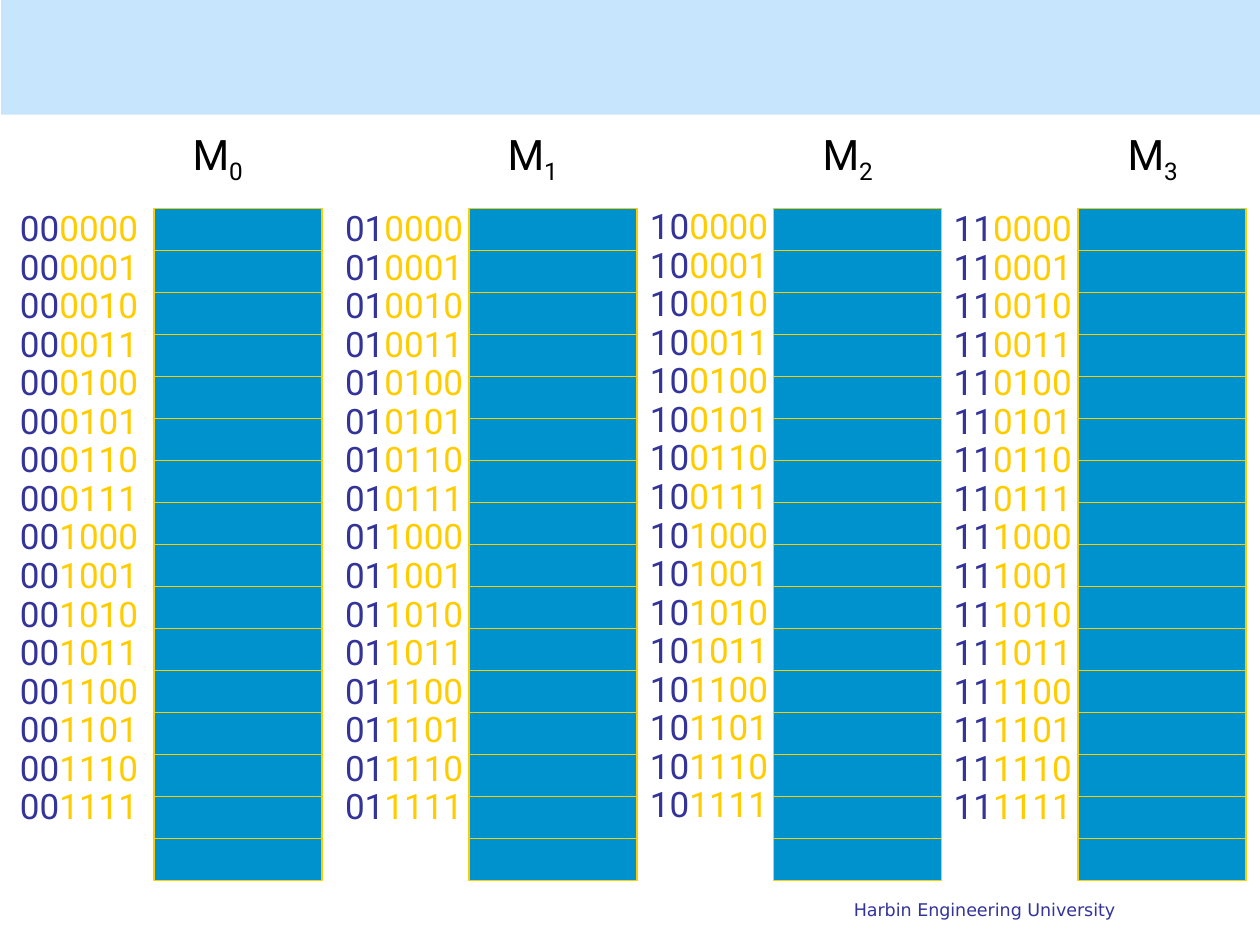
from lxml import etree
from pptx import Presentation
from pptx import util as u
from pptx.dml.color import RGBColor
from pptx.enum import shapes, text
from pptx.oxml.ns import qn

BLACK = RGBColor(0x00, 0x00, 0x00)
SKY = RGBColor(0xC7, 0xE6, 0xFD)
NAVY = RGBColor(0x33, 0x33, 0x99)
BLUE = RGBColor(0x00, 0x92, 0xCC)
GOLD = RGBColor(0xFF, 0xCC, 0x00)

W, H = u.Inches(10), u.Inches(7.5)
COL, ROW = W / 100, H / 75  # fine layout grid
CELLS = 16
BANK_TOP, BANK_W, BANK_H = 16.54, 13.33, 53.33

# bank left, heading left, address left and address top, in grid units
BANKS = [
    (12.23, 14.3, 0.6, 17.35),
    (37.23, 39.3, 26.4, 17.35),
    (61.4, 64.3, 50.6, 17.2),
    (85.57, 88.5, 74.7, 17.35),
]


def grid(x, y, w, h):
    return [round(n) for n in (x * COL, y * ROW, w * COL, h * ROW)]


def add_box(s, box, fill, line=None):
    sp = s.shapes.add_shape(shapes.MSO_SHAPE.RECTANGLE, *grid(*box))
    sp.shadow.inherit = False
    sp.fill.solid()
    sp.fill.fore_color.rgb = fill
    if line is None:
        sp.line.fill.background()
    else:
        sp.line.color.rgb = line
        sp.line.width = u.Pt(0.75)


def add_text(s, box, paragraphs, size, font="Roboto",
             align=text.PP_ALIGN.LEFT, line_spacing=None, gap=0):
    """Each paragraph is a list of (words, colour, baseline) runs."""
    tf = s.shapes.add_textbox(*grid(*box)).text_frame
    tf.word_wrap = True
    for i, runs in enumerate(paragraphs):
        p = tf.paragraphs[0] if i == 0 else tf.add_paragraph()
        p.alignment = align
        if line_spacing:
            p.line_spacing = line_spacing
        p.space_before = u.Pt(gap if i else 0)
        for words, colour, baseline in runs:
            r = p.add_run()
            r.text = words
            r.font.size, r.font.name = u.Pt(size), font
            r.font.color.rgb = colour
            if baseline:
                r.font._element.set("baseline", str(baseline * 1000))


def add_rule(s, x, y, w):
    x1, y1, width, _ = grid(x, y, w, 0)
    line = s.shapes.add_connector(shapes.MSO_CONNECTOR.STRAIGHT,
                                  x1, y1, x1 + width, y1)
    line.line.color.rgb = GOLD
    line.line.width = u.Pt(0.75)
    etree.SubElement(line._element.spPr, qn("a:effectLst"))


def add_banner(s, x, y, w, h):
    add_box(s, (x, y, w, h), SKY)


def add_footer(s, x, y, w, h):
    add_text(s, (x, y, w, h), [[("Harbin Engineering University", NAVY, 0)]],
             10, font="DejaVu Sans", align=text.PP_ALIGN.RIGHT)


def add_bank(s, x, y, w, h):
    """Memory block ruled into equal cells."""
    add_box(s, (x, y, w, h), BLUE, GOLD)
    for i in range(1, CELLS):
        add_rule(s, x, y + i * h / CELLS, w)


def add_addresses(s, x, y, w, h, bank):
    """Bank number in two bits, then the cell number in four."""
    rows = [[(f"{bank:02b}", NAVY, 0), (f"{cell:04b}", GOLD, 0)]
            for cell in range(CELLS)]
    add_text(s, (x, y, w, h), rows, 20, line_spacing=0.5, gap=10)


def add_heading(s, x, y, w, h, bank):
    add_text(s, (x, y, w, h), [[("M", BLACK, 0), (str(bank), BLACK, -25)]], 24)


def main():
    prs = Presentation()
    prs.slide_width, prs.slide_height = W, H
    s = prs.slides.add_slide(prs.slide_layouts[6])
    add_banner(s, 0.1, 0, 99.9, 9.1)
    add_footer(s, 46.2, 70.85, 43.3, 3.3)
    for bank, (left, heading_left, address_left, address_top) in enumerate(BANKS):
        add_bank(s, left, BANK_TOP, BANK_W, BANK_H)
        add_addresses(s, address_left, address_top, BANK_W, 52.7, bank)
        add_heading(s, heading_left, 9.7, 7.5, 5, bank)
    prs.save("out.pptx")


if __name__ == "__main__":
    main()
